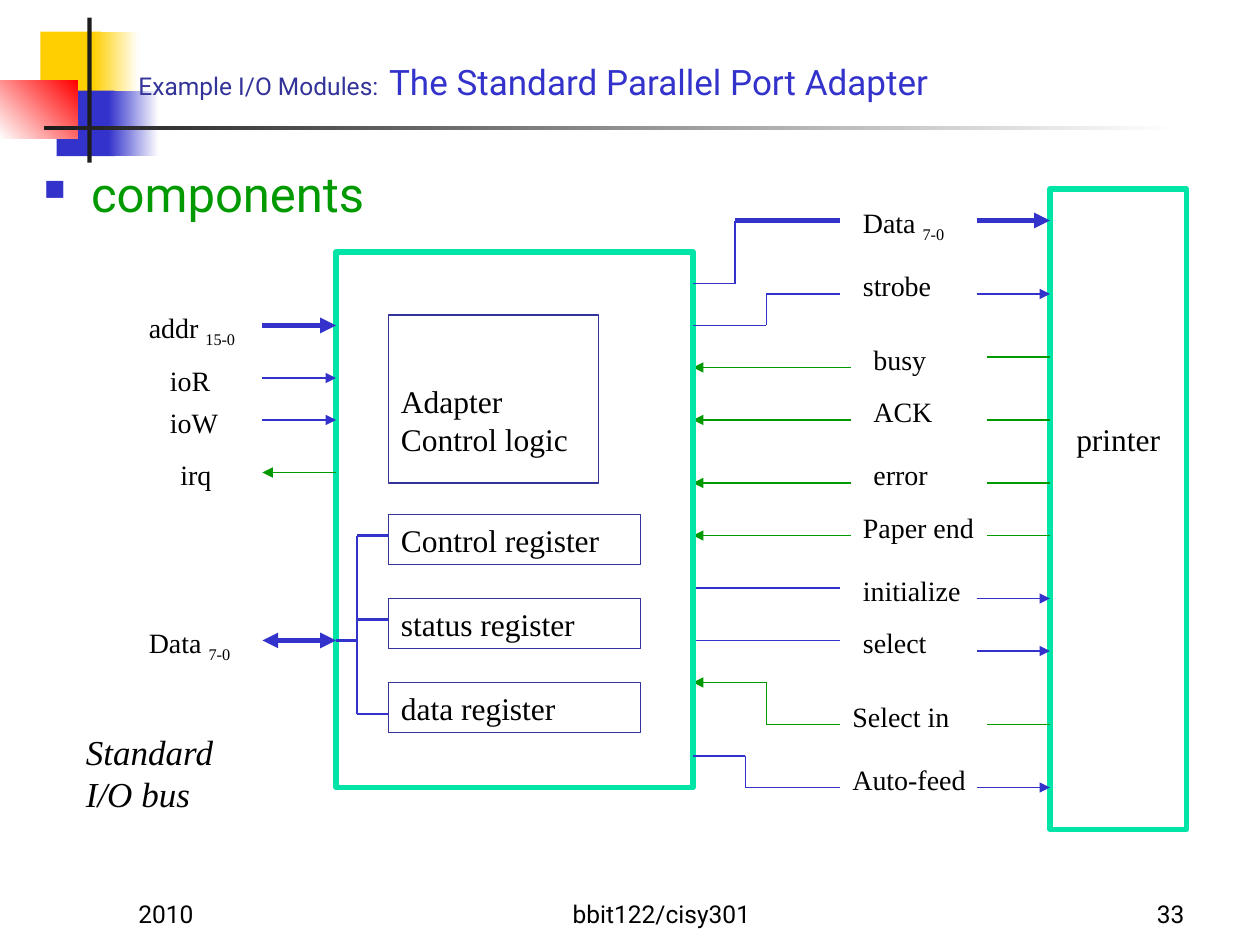
from lxml import etree
from pptx import Presentation, util as u
from pptx.dml.color import RGBColor
from pptx.enum import shapes, text
from pptx.oxml import ns

BLUE, NAVY, GREEN, TEAL = "3333CC", "333399", "009900", "00E4A8"
YELLOW, RED, DARK, BLACK, WHITE = "FFCF01", "FF0000", "1C1C1C", "000000", "FFFFFF"
SANS, SERIF = "Roboto", "Times New Roman"
THIN, MEDIUM, THICK = 0.75, 1.5, 3
LEFT, CENTER, RIGHT = text.PP_ALIGN.LEFT, text.PP_ALIGN.CENTER, text.PP_ALIGN.RIGHT
TOP, MIDDLE, BOTTOM = text.MSO_ANCHOR.TOP, text.MSO_ANCHOR.MIDDLE, text.MSO_ANCHOR.BOTTOM


def grid(cells):
    return u.Cm(cells * 2.54 / 12)


def paint(color, value):
    color.rgb = RGBColor.from_string(value)


def add_xml(parent, tag, **attributes):
    return etree.SubElement(parent, ns.qn(tag), attributes)


class Diagram:
    def __init__(self, slide, ink=BLACK, font=SERIF):
        self.slide, self.ink, self.font = slide, ink, font

    def block(self, x, y, w, h, fill=None, fade=None, angle=0, border=None, weight=THIN):
        block = self.slide.shapes.add_shape(
            shapes.MSO_SHAPE.RECTANGLE, grid(x), grid(y), grid(w), grid(h))
        block.shadow.inherit = False
        if fade:
            block.fill.gradient()
            block.fill.gradient_angle = angle
            for stop, position, color in zip(block.fill.gradient_stops, (0, 1), (fill, fade)):
                stop.position = position
                paint(stop.color, color)
        elif fill:
            block.fill.solid()
            paint(block.fill.fore_color, fill)
        else:
            block.fill.background()
        if border:
            paint(block.line.color, border)
            block.line.width = u.Pt(weight)
        else:
            block.line.fill.background()
        return block

    def label(self, holder, runs, align=LEFT, anchor=TOP, inset=0.6):
        frame = holder.text_frame
        frame.word_wrap = True
        frame.vertical_anchor = anchor
        frame.margin_left = frame.margin_right = grid(1.2)
        frame.margin_top, frame.margin_bottom = grid(inset), grid(0.6)
        paragraph = frame.paragraphs[0]
        paragraph.alignment = align
        for words, size, style in runs:
            run = paragraph.add_run()
            run.text = words
            run.font.size = u.Pt(size)
            run.font.name = style.get("font", self.font)
            run.font.italic = style.get("italic", False)
            paint(run.font.color, style.get("color", self.ink))
            if style.get("subscript"):
                run.font._element.set("baseline", "-25000")
        return paragraph

    def note(self, x, y, w, h, runs, align=LEFT, anchor=TOP):
        box = self.slide.shapes.add_textbox(grid(x), grid(y), grid(w), grid(h))
        return self.label(box, runs, align, anchor)

    def signal(self, x, y, name, bits=None, width=14):
        runs = [(name, 16, {})]
        if bits:
            runs = [(name + " ", 16, {}), (bits, 16, {"subscript": True})]
        self.note(x, y, width, 4.4, runs)

    def wire(self, points, color, weight=THIN, head=False, tail=False):
        segments = list(zip(points, points[1:]))
        for index, (start, end) in enumerate(segments):
            line = self.slide.shapes.add_connector(
                shapes.MSO_CONNECTOR.STRAIGHT, *map(grid, start + end))
            paint(line.line.color, color)
            line.line.width = u.Pt(weight)
            outline = line.line._get_or_add_ln()
            if head and index == 0:
                add_xml(outline, "a:headEnd", type="triangle")
            if tail and index == len(segments) - 1:
                add_xml(outline, "a:tailEnd", type="triangle")
            add_xml(line._element.spPr, "a:effectLst")

    def bullet(self, paragraph):
        properties = paragraph._p.get_or_add_pPr()
        properties.set("marL", str(grid(4.5)))
        properties.set("indent", str(-grid(4.5)))
        add_xml(add_xml(properties, "a:buClr"), "a:srgbClr", val=BLUE)
        add_xml(properties, "a:buSzPct", val="60000")
        add_xml(properties, "a:buChar", char="■")


def draw_theme(diagram):
    diagram.block(3.84, 3, 5.76, 6.24, YELLOW)
    diagram.block(8.88, 3, 4.32, 6.24, YELLOW, WHITE)
    diagram.block(5.4, 8.64, 5.52, 6.24, BLUE)
    diagram.block(10.32, 8.64, 4.8, 6.24, BLUE, WHITE)
    diagram.block(0, 7.68, 7.4, 5.52, WHITE, RED, angle=45)
    diagram.block(8.33, 1.68, 0.4, 13.8, DARK)
    diagram.block(4.2, 12, 108, 0.4, DARK, WHITE)
    for x, width, words, align in ((12, 25, "2010", LEFT),
                                   (44, 38, "bbit122/cisy301", CENTER),
                                   (89, 25, "33", RIGHT)):
        diagram.note(x, 83, width, 6, [(words, 14, {"font": SANS})], align, BOTTOM)


def draw_printer_side(diagram):
    printer = diagram.block(100, 18, 13, 61, border=TEAL, weight=THICK)
    diagram.label(printer, [("printer", 18, {})], CENTER, inset=22)
    for x, y, name, bits in ((81, 19, "Data", "7-0"), (81, 25, "strobe", None),
                             (82, 32, "busy", None), (82, 37, "ACK", None),
                             (82, 43, "error", None), (81, 48, "Paper end", None),
                             (81, 54, "initialize", None), (81, 59, "select", None),
                             (80, 66, "Select in", None), (80, 72, "Auto-feed", None)):
        diagram.signal(x, y, name, bits)
    for y, weight in ((21, THICK), (28, THIN), (57, THIN), (62, THIN), (75, THIN)):
        diagram.wire([(93, y), (100, y)], BLUE, weight, tail=True)
    for y in (34, 40, 46, 51, 69):
        diagram.wire([(100, y), (94, y)], GREEN)
    for y in (35, 40, 46, 51):
        diagram.wire([(81, y), (66, y)], GREEN, tail=True)
    diagram.wire([(80, 69), (73, 69), (73, 65), (66, 65)], GREEN, tail=True)
    for y in (56, 61):
        diagram.wire([(66, y), (80, y)], BLUE)
    diagram.wire([(70, 21), (80, 21)], BLUE, THICK)


def draw_adapter(diagram):
    diagram.block(32, 24, 34, 51, border=TEAL, weight=THICK)
    for order, name in enumerate(("Control register", "status register", "data register")):
        register = diagram.block(37, 49 + 8 * order, 24, 4.8, border=NAVY)
        diagram.label(register, [(name, 18, {})])
    logic = diagram.block(37, 30, 20, 16, border=NAVY)
    diagram.label(logic, [("Adapter Control logic", 18, {})], inset=6.4)
    diagram.wire([(66, 27), (70, 27), (70, 21)], BLUE)
    diagram.wire([(66, 31), (73, 31), (73, 28), (80, 28)], BLUE)
    diagram.wire([(66, 72), (71, 72), (71, 75), (80, 75)], BLUE)
    diagram.wire([(37, 51), (34, 51), (34, 68), (37, 68)], BLUE, MEDIUM)
    diagram.wire([(34, 59), (37, 59)], BLUE, MEDIUM)
    diagram.wire([(34, 61), (32, 61)], BLUE, MEDIUM)


def draw_bus_side(diagram):
    for x, y, name, bits in ((13, 29, "addr", "15-0"), (15, 34, "ioR", None),
                             (15, 38, "ioW", None), (16, 43, "irq", None),
                             (13, 59, "Data", "7-0")):
        diagram.signal(x, y, name, bits, width=12)
    for y, weight in ((31, THICK), (36, THIN), (40, THIN)):
        diagram.wire([(25, y), (32, y)], BLUE, weight, tail=True)
    diagram.wire([(32, 45), (25, 45)], GREEN, tail=True)
    diagram.wire([(25, 61), (32, 61)], BLUE, THICK, head=True, tail=True)
    diagram.note(7, 69, 18, 9.2, [("Standard I/O bus", 20, {"italic": True})])


def main():
    deck = Presentation()
    deck.slide_width, deck.slide_height = grid(120), grid(90)
    diagram = Diagram(deck.slides.add_slide(deck.slide_layouts[6]))
    draw_theme(diagram)
    draw_printer_side(diagram)
    draw_adapter(diagram)
    draw_bus_side(diagram)
    diagram.bullet(diagram.note(
        3, 15, 42, 9, [("components", 28, {"font": SANS, "color": GREEN})]))
    diagram.note(12, 3, 105, 9, [
        ("Example I/O Modules:", 14, {"font": SANS, "color": NAVY}),
        (" ", 24, {"font": SANS, "color": NAVY}),
        ("The Standard Parallel Port Adapter", 20, {"font": SANS, "color": BLUE}),
    ], anchor=MIDDLE)
    deck.save("out.pptx")


if __name__ == "__main__":
    main()
